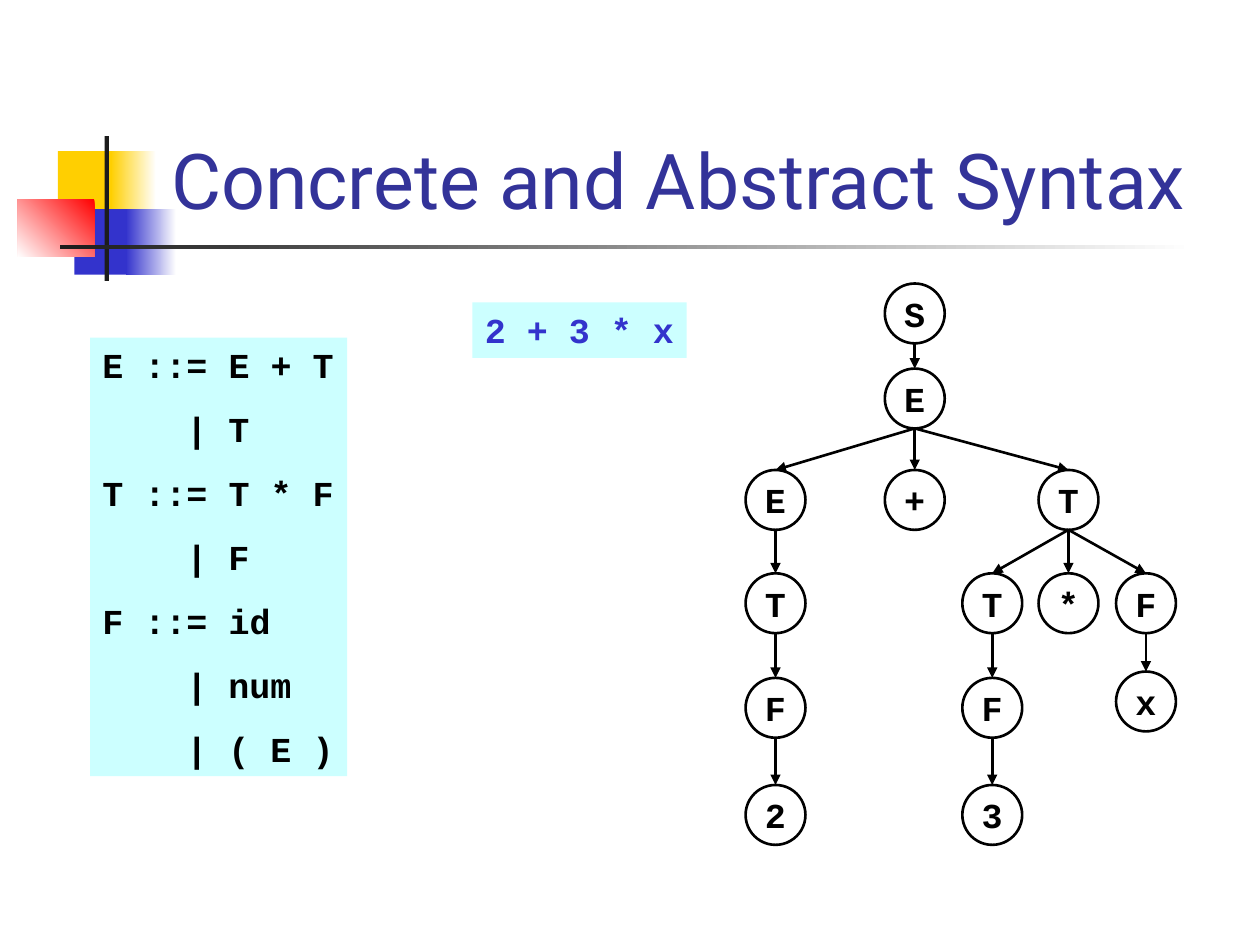
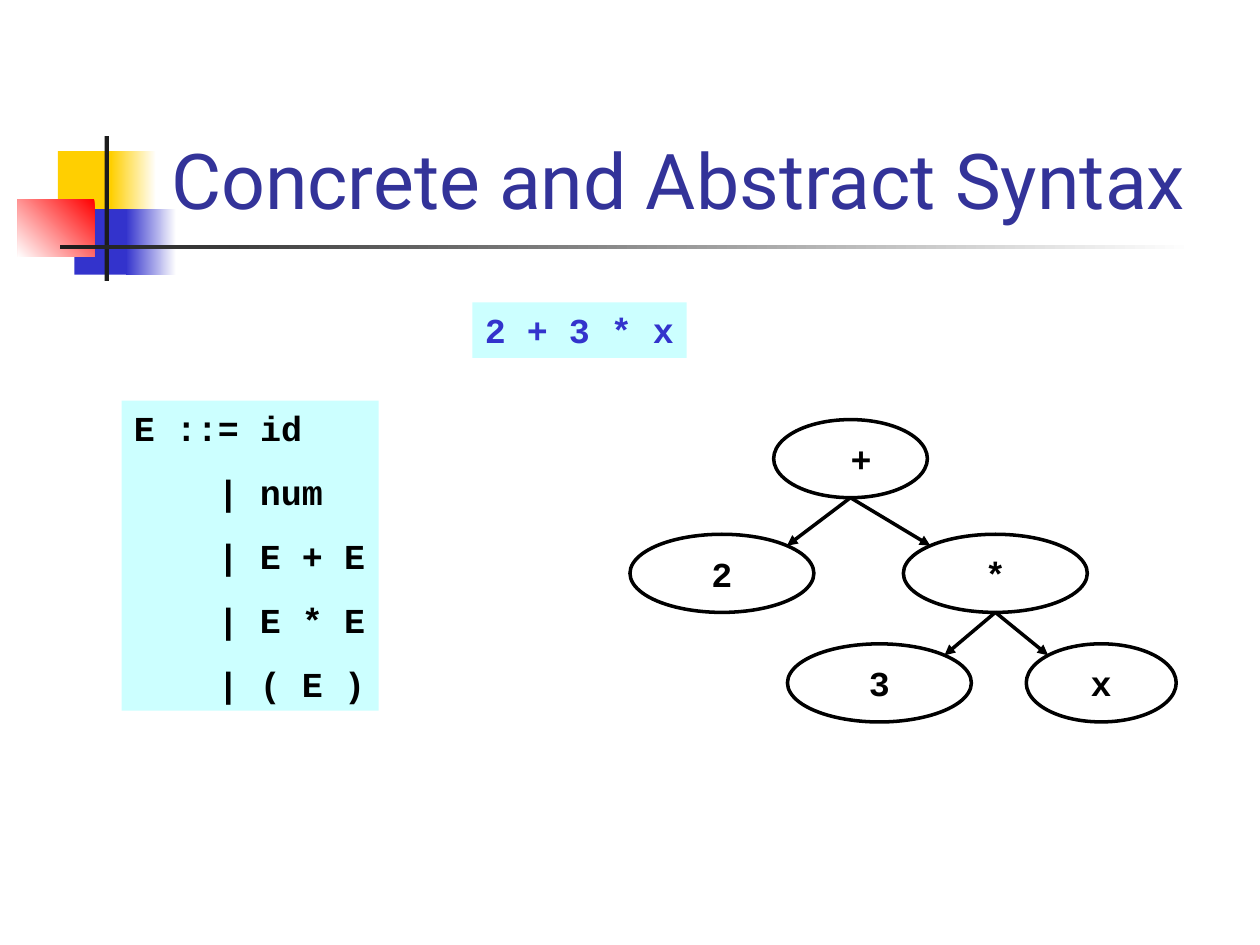
import dataclasses
import math
import typing

import lxml.etree
import pptx
import pptx.dml.color
import pptx.enum.shapes
import pptx.enum.text
import pptx.oxml.ns
import pptx.util

ANCHOR = pptx.enum.text.MSO_ANCHOR
ALIGN = pptx.enum.text.PP_ALIGN
FIT = pptx.enum.text.MSO_AUTO_SIZE
KIND = pptx.enum.shapes.MSO_SHAPE

# Grid: 100 columns by 75 rows of square cells
CELL = pptx.util.Inches(0.1)
COLS, ROWS = 100, 75


@dataclasses.dataclass(frozen=True)
class Theme:
    gold: str = "FFCF01"
    blue: str = "3333CC"
    red: str = "FF0000"
    white: str = "FFFFFF"
    dark: str = "1C1C1C"
    black: str = "000000"
    aqua: str = "CCFFFF"
    navy: str = "333399"
    head: str = "Roboto"
    code: str = "Courier New"
    large: int = 44
    small: int = 20
    gap: float = 12.5
    char: int = 12  # width of one code letter in points


THEME = Theme()


class Area(typing.NamedTuple):
    col: float
    row: float
    wide: float
    high: float


class Patch(typing.NamedTuple):
    area: Area
    start: str
    end: str = ""  # set when the colour fades
    angle: int = 180


class Line(typing.NamedTuple):
    text: str
    indent: int = 0  # in code letters


class Panel(typing.NamedTuple):
    area: Area
    lines: list[Line]
    color: str = THEME.black


class Node(typing.NamedTuple):
    text: str
    mid: float
    top: float
    wide: float
    high: float
    parent: int | None = None  # index of the parent node
    indent: int = 0


class Tree(typing.NamedTuple):
    nodes: list[Node]
    weight: float
    slant: float = 0  # angle from the top where arrows meet a child


# Shared parts
TITLE = "Concrete and Abstract Syntax"
TITLE_AREA = Area(12.6, 2.3, 85.2, 16.05)
PATCHES = [
    Patch(Area(4.6, 12, 4.8, 5.2), THEME.gold),
    Patch(Area(8.8, 12, 3.6, 5.2), THEME.white, THEME.gold),
    Patch(Area(5.9, 16.6, 4.6, 5.2), THEME.blue),
    Patch(Area(10, 16.6, 4, 5.2), THEME.white, THEME.blue),
    Patch(Area(1.4, 15.8, 6.1, 4.6), THEME.red, THEME.white, 225),
    Patch(Area(8.3, 10.8, 0.35, 11.5), THEME.dark),
    Patch(Area(4.8, 19.45, 90, 0.35), THEME.white, THEME.dark),
]
SAMPLE = Panel(Area(37.5, 24, 17, 4.4), [Line("2 + 3 * x")], THEME.blue)

# Grammars
FULL = Panel(Area(7.15, 26.8, 20.4, 34.8), [
    Line("E ::= E + T"), Line("| T", 4),
    Line("T ::= T * F"), Line("| F", 4),
    Line("F ::= id"), Line("| num", 4), Line("| ( E )", 4),
])
SHORT = Panel(Area(9.65, 31.8, 20.4, 24.6), [
    Line("E ::= id"),
    *[Line(text, 4) for text in ("| num", "| E + E", "| E * E", "| ( E )")],
])

# Parse tree: text, centre column, level, parent
LEVELS = [22.5, 29.25, 37.3, 45.5, 53.8, 62.3]
PARSE = Tree([
    Node(text, mid, LEVELS[level], 4.75, 4.75, parent)
    for text, mid, level, parent in [
        ("S", 72.6, 0, None), ("E", 72.6, 1, 0),
        ("E", 61.55, 2, 1), ("+", 72.6, 2, 1), ("T", 84.8, 2, 1),
        ("T", 61.55, 3, 2), ("F", 61.55, 4, 5), ("2", 61.55, 5, 6),
        ("T", 78.75, 3, 4), ("*", 84.8, 3, 4), ("F", 90.95, 3, 4),
        ("F", 78.75, 4, 8), ("3", 78.75, 5, 11),
    ]
] + [Node("x", 90.95, 53.3, 4.75, 4.75, 10)], 1.5)

# Abstract tree
BRIEF = Tree([
    Node("+", 67.5, 33.3, 12.2, 6.2, indent=1),
    Node("2", 57.3, 42.4, 14.6, 6.2, 0),
    Node("*", 79, 42.4, 14.6, 6.2, 0),
    Node("3", 69.8, 51.1, 14.6, 6.2, 2),
    Node("x", 87.4, 51.1, 11.9, 6.2, 2),
], 2, 45)


def cells(*counts: float) -> list[int]:
    return [round(count * CELL) for count in counts]


def paint(color: str) -> pptx.dml.color.RGBColor:
    return pptx.dml.color.RGBColor.from_string(color)


def apply(target: typing.Any, form: dict[str, typing.Any]) -> None:
    for name, value in form.items():
        setattr(target, name, value)


def write(shape: typing.Any, lines: list[Line], font: dict[str, typing.Any],
          frame: dict[str, typing.Any], para: dict[str, typing.Any]) -> None:
    """Fill a shape with one paragraph for each line."""
    body = shape.text_frame
    apply(body, frame)
    for count, line in enumerate(lines):
        item = body.paragraphs[0] if count == 0 else body.add_paragraph()
        apply(item, para)
        if line.indent:
            item._p.get_or_add_pPr().set(
                "marL", str(pptx.util.Pt(line.indent * THEME.char)))
        run = item.add_run()
        run.text = line.text
        form = dict(font)
        run.font.color.rgb = paint(form.pop("color"))
        apply(run.font, form)


def code(color: str) -> dict[str, typing.Any]:
    return {"name": THEME.code, "size": pptx.util.Pt(THEME.small),
            "bold": True, "color": color}


def block(slide: typing.Any, kind: typing.Any, area: Area) -> typing.Any:
    shape = slide.shapes.add_shape(kind, *cells(*area))
    shape.shadow.inherit = False
    return shape


def draw_patch(slide: typing.Any, patch: Patch) -> None:
    shape = block(slide, KIND.RECTANGLE, patch.area)
    shape.line.fill.background()
    if patch.end:
        shape.fill.gradient()
        shape.fill.gradient_angle = patch.angle
        for stop, color in zip(shape.fill.gradient_stops, patch[1:3]):
            stop.color.rgb = paint(color)
    else:
        shape.fill.solid()
        shape.fill.fore_color.rgb = paint(patch.start)


def draw_panel(slide: typing.Any, panel: Panel) -> None:
    shape = block(slide, KIND.RECTANGLE, panel.area)
    shape.line.fill.background()
    shape.fill.solid()
    shape.fill.fore_color.rgb = paint(THEME.aqua)
    write(shape, panel.lines, code(panel.color),
          {"word_wrap": False, "vertical_anchor": ANCHOR.TOP,
           "auto_size": FIT.SHAPE_TO_FIT_TEXT},
          {"alignment": ALIGN.LEFT,
           "space_before": pptx.util.Pt(THEME.gap)})


def draw_node(slide: typing.Any, node: Node, weight: float) -> None:
    area = Area(node.mid - node.wide / 2, node.top, node.wide, node.high)
    shape = block(slide, KIND.OVAL, area)
    shape.fill.background()
    shape.line.color.rgb = paint(THEME.black)
    shape.line.width = pptx.util.Pt(weight)
    write(shape, [Line(node.text, node.indent)], code(THEME.black),
          {"word_wrap": False, "vertical_anchor": ANCHOR.MIDDLE},
          {"alignment": ALIGN.CENTER,
           "space_before": pptx.util.Pt(THEME.gap)})


def draw_arrow(slide: typing.Any, parent: Node, child: Node, tree: Tree) -> None:
    """Join the foot of the parent to the upper rim of the child."""
    turn = math.radians(tree.slant)
    side = math.copysign(math.sin(turn), parent.mid - child.mid)
    ends = cells(parent.mid, parent.top + parent.high,
                 child.mid + side * child.wide / 2,
                 child.top + (1 - math.cos(turn)) * child.high / 2)
    arrow = slide.shapes.add_connector(
        pptx.enum.shapes.MSO_CONNECTOR.STRAIGHT, *ends)
    arrow.line.color.rgb = paint(THEME.black)
    arrow.line.width = pptx.util.Pt(tree.weight)
    name = pptx.oxml.ns.qn
    lxml.etree.SubElement(
        arrow.line._get_or_add_ln(), name("a:tailEnd"), type="triangle")
    lxml.etree.SubElement(arrow._element.spPr, name("a:effectLst"))


def draw_tree(slide: typing.Any, tree: Tree) -> None:
    for node in tree.nodes:
        draw_node(slide, node, tree.weight)
        if node.parent is not None:
            draw_arrow(slide, tree.nodes[node.parent], node, tree)


def draw_base(slide: typing.Any) -> None:
    for patch in PATCHES:
        draw_patch(slide, patch)
    title = slide.shapes.add_textbox(*cells(*TITLE_AREA))
    write(title, [Line(TITLE)],
          {"name": THEME.head, "size": pptx.util.Pt(THEME.large),
           "color": THEME.navy},
          {"word_wrap": True, "vertical_anchor": ANCHOR.BOTTOM}, {})


def main() -> None:
    deck = pptx.Presentation()
    deck.slide_width, deck.slide_height = cells(COLS, ROWS)
    for panel, tree in ((FULL, PARSE), (SHORT, BRIEF)):
        slide = deck.slides.add_slide(deck.slide_layouts[6])
        draw_base(slide)
        draw_tree(slide, tree)
        draw_panel(slide, panel)
        draw_panel(slide, SAMPLE)
    deck.save("out.pptx")


if __name__ == "__main__":
    main()
